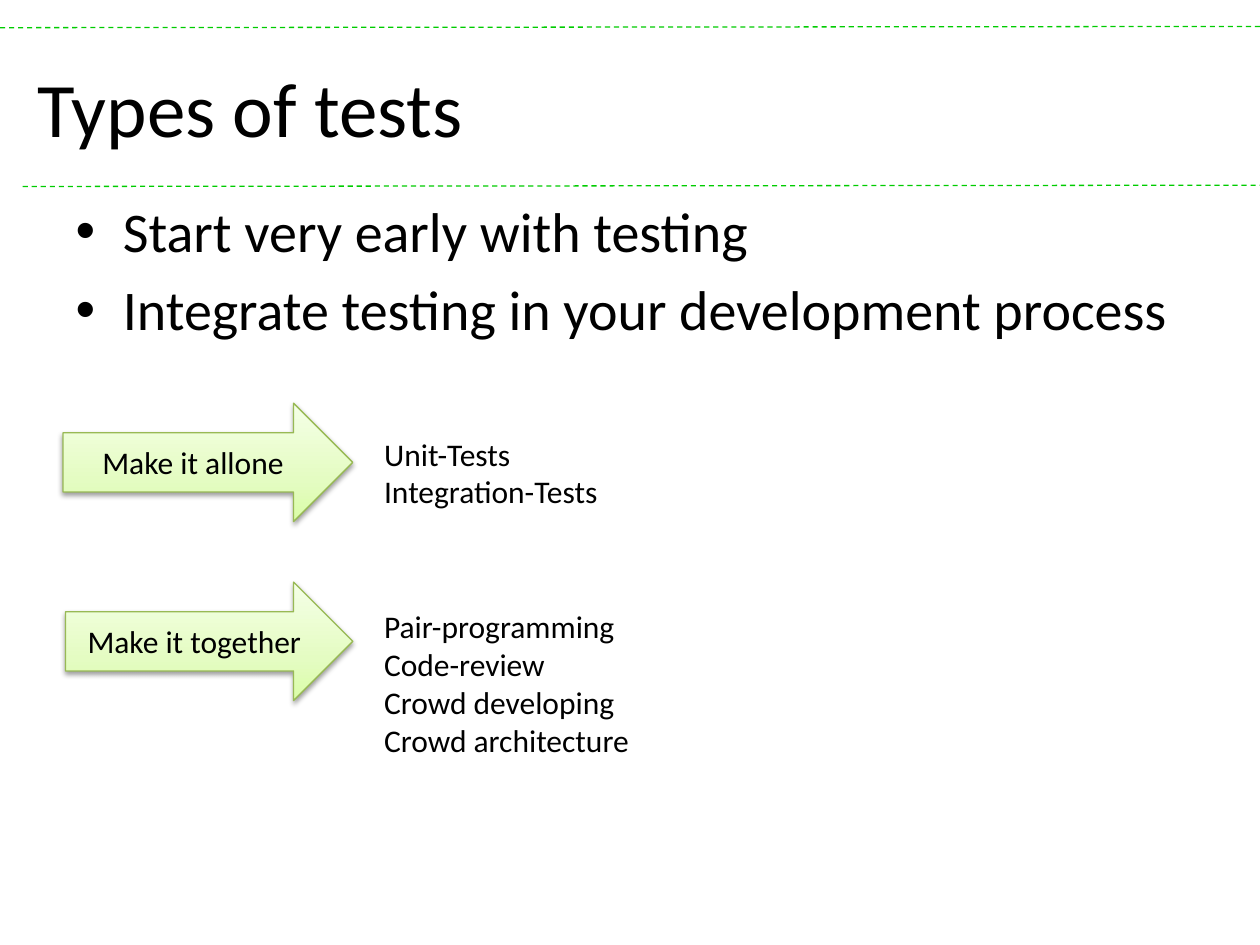
from dataclasses import dataclass

from lxml.etree import SubElement
from pptx import Presentation
from pptx.dml.color import RGBColor as RGB
from pptx.enum.dml import MSO_LINE
from pptx.enum.shapes import MSO_CONNECTOR, MSO_SHAPE
from pptx.enum.text import MSO_ANCHOR as Anchor, MSO_AUTO_SIZE as AutoSize, PP_ALIGN as Align
from pptx.oxml.ns import qn
from pptx.util import Inches, Pt


@dataclass(frozen=True)
class Theme:
    font: str = "Calibri"
    text: str = "000000"
    rule: str = "00CC00"
    arrow_line: str = "98B955"
    arrow_stops: tuple = ((0, "DAFDA7"), (35, "E4FCC2"), (100, "F5FFE7"))
    title_size: int = 44
    bullet_size: int = 32
    label_size: int = 18
    line_width: float = 0.75


class SlideBuilder:
    def __init__(self, slide, theme):
        self.slide = slide
        self.theme = theme

    def _style(self, frame, size):
        for paragraph in frame.paragraphs:
            for run in paragraph.runs:
                run.font.name = self.theme.font
                run.font.size = Pt(size)
                run.font.color.rgb = RGB.from_string(self.theme.text)

    def _place(self, holder, box):
        holder.left, holder.top, holder.width, holder.height = map(Inches, box)
        holder.text_frame.auto_size = AutoSize.NONE

    def title(self, text, box):
        heading = self.slide.shapes.title
        self._place(heading, box)
        frame = heading.text_frame
        frame.text = text
        frame.vertical_anchor = Anchor.MIDDLE
        frame.paragraphs[0].alignment = Align.LEFT
        self._style(frame, self.theme.title_size)

    def bullets(self, items, box):
        body = self.slide.placeholders[1]
        self._place(body, box)
        frame = body.text_frame
        frame.text = "\n".join(items)
        frame.paragraphs[0].space_before = Pt(0)
        self._style(frame, self.theme.bullet_size)

    def dashed_rule(self, start, end):
        rule = self.slide.shapes.add_connector(
            MSO_CONNECTOR.STRAIGHT, *map(Inches, start + end))
        rule.line.color.rgb = RGB.from_string(self.theme.rule)
        rule.line.width = Pt(self.theme.line_width)
        rule.line.dash_style = MSO_LINE.DASH
        SubElement(rule._element.spPr, qn("a:effectLst"))

    def arrow(self, text, box):
        arrow = self.slide.shapes.add_shape(MSO_SHAPE.RIGHT_ARROW, *map(Inches, box))
        arrow.line.color.rgb = RGB.from_string(self.theme.arrow_line)
        arrow.line.width = Pt(self.theme.line_width)
        self._gradient(arrow)
        self._shadow(arrow)
        frame = arrow.text_frame
        frame.text = text
        frame.vertical_anchor = Anchor.MIDDLE
        frame.paragraphs[0].alignment = Align.CENTER
        self._style(frame, self.theme.label_size)

    def _gradient(self, shape):
        shape.fill.gradient()
        shape.fill.gradient_angle = 90  # counter-clockwise: first stop at the bottom
        stops = shape._element.spPr.find(".//" + qn("a:gsLst"))
        for stop in list(stops):
            stops.remove(stop)
        for position, color in self.theme.arrow_stops:
            stop = SubElement(stops, qn("a:gs"), pos=str(position * 1000))
            SubElement(stop, qn("a:srgbClr"), val=color)

    def _shadow(self, shape):
        shape.shadow.inherit = False
        effects = shape._element.spPr.find(qn("a:effectLst"))
        shadow = SubElement(effects, qn("a:outerShdw"), blurRad=str(Pt(3.1)),
                            dist=str(Pt(1.6)), dir="5400000", rotWithShape="0")
        color = SubElement(shadow, qn("a:srgbClr"), val="000000")
        SubElement(color, qn("a:alpha"), val="38000")

    def text_box(self, text, box):
        frame = self.slide.shapes.add_textbox(*map(Inches, box)).text_frame
        frame.text = text
        frame.word_wrap = False
        frame.auto_size = AutoSize.SHAPE_TO_FIT_TEXT
        self._style(frame, self.theme.label_size)


def main():
    deck = Presentation()
    deck.slide_width, deck.slide_height = Inches(10), Inches(7.5)
    page = SlideBuilder(deck.slides.add_slide(deck.slide_layouts[1]), Theme())

    # Header between two dashed rules
    page.dashed_rule((0, 0.22), (10, 0.21))
    page.dashed_rule((0.18, 1.48), (10.02, 1.47))
    page.title("Types of tests", (0.2, 0.22, 9.69, 1.25))

    # Main advice
    page.bullets(["Start very early with testing",
                  "Integrate testing in your development process"],
                 (0.5, 1.51, 9, 1.45))

    # Each way of working with its kinds of test
    ways = [
        ("Make it allone", (0.5, 3.2, 2.3, 0.94),
         "Unit-Tests\vIntegration-Tests", (2.95, 3.4, 1.91, 0.71)),
        ("Make it together", (0.52, 4.62, 2.28, 0.94),
         "Pair-programming\nCode-review\nCrowd developing\nCrowd architecture",
         (2.95, 4.77, 2.17, 1.31)),
    ]
    for way, arrow_box, tests, tests_box in ways:
        page.arrow(way, arrow_box)
        page.text_box(tests, tests_box)

    deck.save("out.pptx")


if __name__ == "__main__":
    main()
